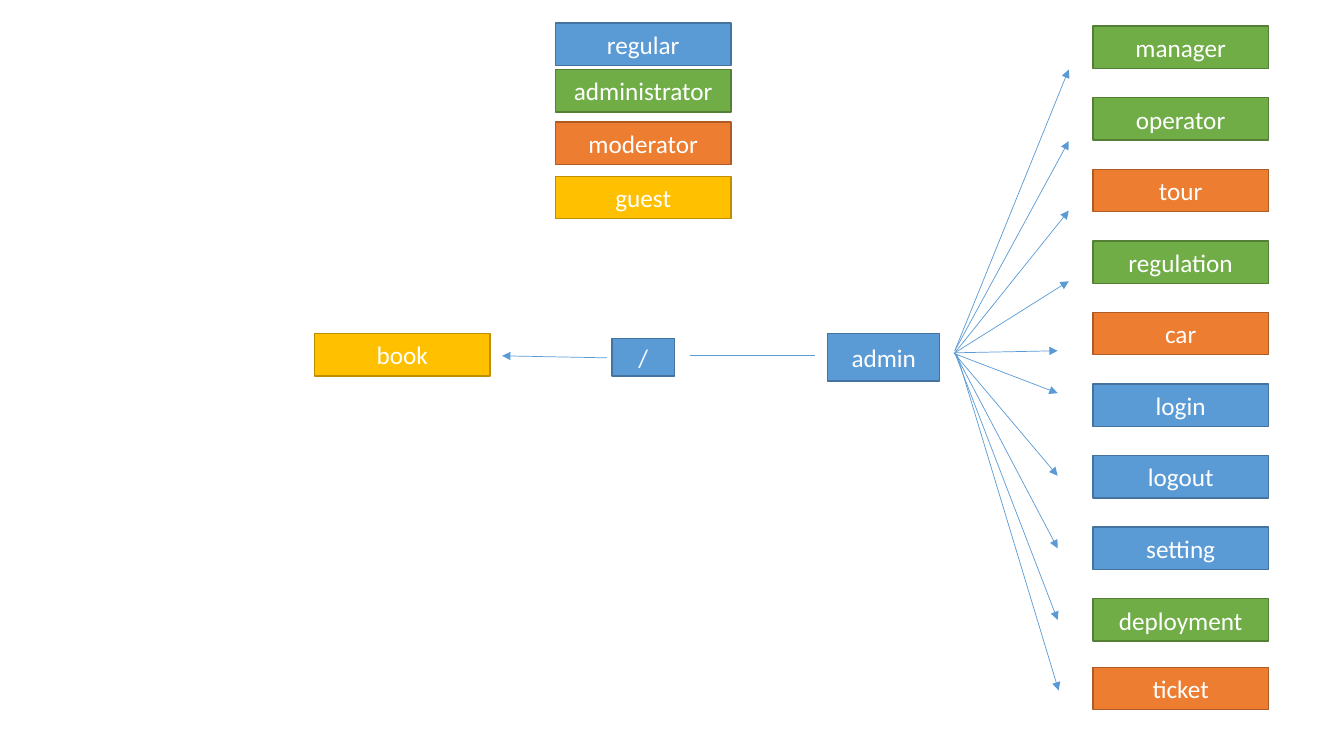
from lxml.etree import SubElement
from pptx import Presentation
from pptx.dml.color import RGBColor
from pptx.enum.dml import MSO_LINE
from pptx.enum.shapes import MSO_CONNECTOR, MSO_SHAPE
from pptx.enum.text import MSO_ANCHOR, PP_ALIGN
from pptx.oxml.ns import qn
from pptx.util import Inches, Pt

ROLE_COLORS = {
    "regular": ("5B9BD5", "43739E"),
    "administrator": ("70AD47", "538035"),
    "moderator": ("ED7D31", "AF5C24"),
    "guest": ("FFC000", "BD8E00"),
}
LEGEND_TOPS = {"regular": 0.23, "administrator": 0.69, "moderator": 1.21, "guest": 1.75}
ADMIN_PAGES = [
    ("manager", "administrator", (9.47, 3.48), (10.6, 0.69)),
    ("operator", "administrator", (9.47, 3.48), (10.6, 1.4)),
    ("tour", "moderator", (9.47, 3.5), (10.6, 2.09)),
    ("regulation", "administrator", (9.47, 3.5), (10.6, 2.79)),
    ("car", "moderator", (9.47, 3.5), (10.49, 3.48)),
    ("login", "regular", (9.47, 3.51), (10.49, 3.9)),
    ("logout", "regular", (9.46, 3.5), (10.49, 4.72)),
    ("setting", "regular", (9.47, 3.5), (10.49, 5.44)),
    ("deployment", "administrator", (9.47, 3.5), (10.49, 6.15)),
]
FIRST_TOP, ROW_STEP, PAGES_LEFT = 0.26, 0.71, 10.84


def color(code):
    """Return the colour for a hex string."""
    return RGBColor.from_string(code)


def write_text(shape, text, font="Calibri", size=18, fill="FFFFFF"):
    """Write one centred line of text into a shape."""
    frame = shape.text_frame
    frame.word_wrap = True
    frame.vertical_anchor = MSO_ANCHOR.MIDDLE
    para = frame.paragraphs[0]
    para.alignment = PP_ALIGN.CENTER
    span = para.add_run()
    span.text = text
    span.font.name = font
    span.font.size = Pt(size)
    span.font.color.rgb = color(fill)


def add_box(page, text, role, left, top, width=1.74, height=0.42):
    """Add a labelled rectangle in the colours of its role."""
    fill, outline = ROLE_COLORS[role]
    box = page.shapes.add_shape(
        MSO_SHAPE.RECTANGLE, Inches(left), Inches(top), Inches(width), Inches(height))
    box.shadow.inherit = False
    box.fill.solid()
    box.fill.fore_color.rgb = color(fill)
    box.line.color.rgb = color(outline)
    box.line.width = Pt(1)
    write_text(box, text)


def add_link(page, start, end, arrow=True):
    """Add a thin straight line, with an arrowhead at its end if wanted."""
    link = page.shapes.add_connector(
        MSO_CONNECTOR.STRAIGHT, *(Inches(value) for value in start + end))
    link.line.color.rgb = color("5B9BD5")
    link.line.width = Pt(0.5)
    link.line.dash_style = MSO_LINE.SOLID
    if arrow:
        SubElement(link.line._get_or_add_ln(), qn("a:tailEnd"), type="triangle")
    SubElement(link._element.spPr, qn("a:effectLst"))


def main():
    """Build the site map slide and save it."""
    deck = Presentation()
    deck.slide_width, deck.slide_height = Inches(13.33), Inches(7.5)
    page = deck.slides.add_slide(deck.slide_layouts[6])

    for role, top in LEGEND_TOPS.items():
        add_box(page, role, role, 5.51, top)

    add_box(page, "/", "regular", 6.07, 3.36, width=0.62, height=0.37)
    add_box(page, "admin", "regular", 8.21, 3.31, width=1.11, height=0.47)
    add_box(page, "book", "guest", 3.12, 3.31)
    add_link(page, (6.84, 3.53), (8.08, 3.53), arrow=False)
    add_link(page, (6.02, 3.55), (4.98, 3.53))

    for row, (name, role, start, end) in enumerate(ADMIN_PAGES):
        add_box(page, name, role, PAGES_LEFT, FIRST_TOP + row * ROW_STEP)
        add_link(page, start, end)
    add_box(page, "ticket", "moderator", PAGES_LEFT, 6.62)
    add_link(page, (9.49, 3.51), (10.5, 6.85))

    deck.save("out.pptx")


if __name__ == "__main__":
    main()
